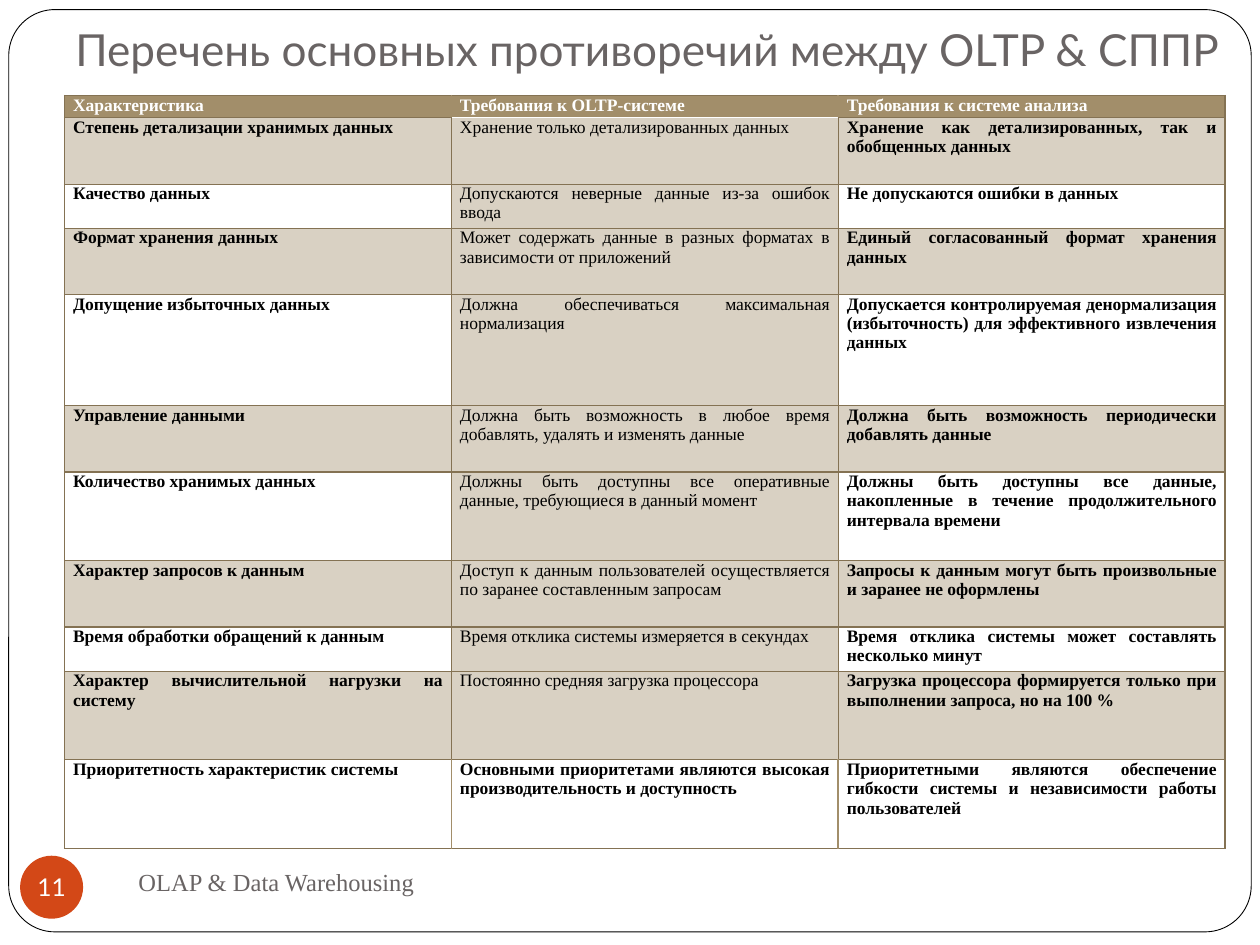
import pptx
import pptx.dml.color
import pptx.enum.shapes
import pptx.enum.text
import pptx.oxml
import pptx.oxml.ns
import pptx.util
from lxml import etree

Pt = pptx.util.Pt
ALIGN = pptx.enum.text.PP_ALIGN
ANCHOR = pptx.enum.text.MSO_ANCHOR
SHAPE = pptx.enum.shapes.MSO_SHAPE
qn = pptx.oxml.ns.qn

COLORS = {
    "white": "FFFFFF",
    "black": "000000",
    "gray": "696464",
    "orange": "D34817",
    "tan": "A28E6A",
    "brown": "847253",
}
HEADING_FONT = "Lato"
BODY_FONT = "Times New Roman"

REQUIREMENTS = [
    ("Характеристика", "Требования к OLTP-системе", "Требования к системе анализа"),
    ("Степень детализации хранимых данных",
     "Хранение только детализированных данных",
     "Хранение как детализированных, так и обобщенных данных"),
    ("Качество данных",
     "Допускаются неверные данные из-за ошибок ввода",
     "Не допускаются ошибки в данных"),
    ("Формат хранения данных",
     "Может содержать данные в разных форматах в зависимости от приложений",
     "Единый согласованный формат хранения данных"),
    ("Допущение избыточных данных",
     "Должна обеспечиваться максимальная нормализация",
     "Допускается контролируемая денормализация (избыточность) "
     "для эффективного извлечения данных"),
    ("Управление данными",
     "Должна быть возможность в любое время добавлять, удалять и изменять данные",
     "Должна быть возможность периодически добавлять данные"),
    ("Количество хранимых данных",
     "Должны быть доступны все оперативные данные, требующиеся в данный момент",
     "Должны быть доступны все данные, накопленные в течение "
     "продолжительного интервала времени"),
    ("Характер запросов к данным",
     "Доступ к данным пользователей осуществляется по заранее составленным запросам",
     "Запросы к данным могут быть произвольные и заранее не оформлены"),
    ("Время обработки обращений к данным",
     "Время отклика системы измеряется в секундах",
     "Время отклика системы может составлять несколько минут"),
    ("Характер вычислительной нагрузки на систему",
     "Постоянно средняя загрузка процессора",
     "Загрузка процессора формируется только при выполнении запроса, но на 100 %"),
    ("Приоритетность характеристик системы",
     "Основными приоритетами являются высокая производительность и доступность",
     "Приоритетными являются обеспечение гибкости системы "
     "и независимости работы пользователей"),
]
# Each row is a whole number of text lines high
ROW_LINES = [1, 3, 2, 3, 5, 3, 4, 3, 2, 4, 4]
LINE_HEIGHT = 12.66
COLUMN_WIDTH = 221.1


def rgb(color):
    return pptx.dml.color.RGBColor.from_string(COLORS[color])


def write(frame, text, size, font, color, align=ALIGN.LEFT, bold=False):
    frame.text = text
    paragraph = frame.paragraphs[0]
    paragraph.alignment = align
    style = paragraph.runs[0].font
    style.size, style.name, style.bold = Pt(size), font, bold
    style.color.rgb = rgb(color)


def set_margins(target, left, top, right, bottom):
    target.margin_left, target.margin_top = Pt(left), Pt(top)
    target.margin_right, target.margin_bottom = Pt(right), Pt(bottom)


def add_panel(slide, kind, left, top, width, height, fill, line=None):
    panel = slide.shapes.add_shape(kind, Pt(left), Pt(top), Pt(width), Pt(height))
    panel.shadow.inherit = False
    panel.fill.solid()
    panel.fill.fore_color.rgb = rgb(fill)
    if line:
        panel.line.color.rgb = rgb(line)
        panel.line.width = Pt(0.5)
    else:
        panel.line.fill.background()
    return panel


def add_label(slide, left, top, width, height, text, size, font, anchor, bottom):
    frame = slide.shapes.add_textbox(Pt(left), Pt(top), Pt(width), Pt(height)).text_frame
    frame.word_wrap = True
    frame.vertical_anchor = anchor
    set_margins(frame, 7.2, 3.6, 7.2, bottom)
    write(frame, text, size, font, "gray")


def fill_cell(cell, color, opacity=100):
    cell.fill.solid()
    cell.fill.fore_color.rgb = rgb(color)
    if opacity < 100:
        shade = cell._tc.tcPr.find(".//" + qn("a:srgbClr"))
        etree.SubElement(shade, qn("a:alpha"), val=str(opacity * 1000))


def set_borders(cell, left, right, top, bottom):
    # Border lines must stand before the fill
    for place, (side, color) in enumerate(zip("LRTB", (left, right, top, bottom))):
        width = Pt(0.75 if color == "brown" else 1)
        line = etree.Element(qn("a:ln" + side), w=str(int(width)))
        solid = etree.SubElement(line, qn("a:solidFill"))
        etree.SubElement(solid, qn("a:srgbClr"), val=COLORS[color])
        cell._tc.get_or_add_tcPr().insert(place, line)


def format_cell(cell, text, row, column):
    header, last = row == 0, row == len(REQUIREMENTS) - 1
    set_margins(cell, 5, 0, 5, 0)
    write(cell.text_frame, text, 10, BODY_FONT, "white" if header else "black",
          ALIGN.JUSTIFY, bold=header or last or column != 1)
    if header:
        fill_cell(cell, "tan")
    elif row % 2 or (column == 1 and not last):
        fill_cell(cell, "tan", 40)
    else:
        cell.fill.background()
    inner = "tan" if header or last else "brown"
    set_borders(
        cell,
        left="brown" if column == 0 else inner,
        right="brown" if column == 2 else inner,
        top="white" if row == 1 and column == 1 else "brown",
        bottom="white" if header and column == 1 else "brown",
    )


def add_requirements(slide, left, top):
    table = slide.shapes.add_table(
        len(REQUIREMENTS), 3, Pt(left), Pt(top),
        Pt(3 * COLUMN_WIDTH), Pt(sum(ROW_LINES) * LINE_HEIGHT)).table
    table.first_row = table.horz_banding = False
    for column in table.columns:
        column.width = Pt(COLUMN_WIDTH)
    for row, (lines, texts) in enumerate(zip(ROW_LINES, REQUIREMENTS)):
        table.rows[row].height = Pt(lines * LINE_HEIGHT)
        for column, text in enumerate(texts):
            format_cell(table.cell(row, column), text, row, column)


def main():
    deck = pptx.Presentation()
    deck.slide_width, deck.slide_height = Pt(720), Pt(540)
    slide = deck.slides.add_slide(deck.slide_layouts[6])

    # Rounded frame around the page
    frame = add_panel(slide, SHAPE.ROUNDED_RECTANGLE, 5, 5.5, 710, 527, "white", "black")
    frame.adjustments[0] = 0.05

    # Title
    add_label(slide, 36, 12.2, 675.4, 38.2,
              "Перечень основных противоречий между OLTP & СППР",
              25.2, HEADING_FONT, ANCHOR.BOTTOM, bottom=7.2)

    # Page number
    badge = add_panel(slide, SHAPE.OVAL, 11.5, 489, 36, 36, "orange").text_frame
    badge.word_wrap = False
    badge.vertical_anchor = ANCHOR.MIDDLE
    set_margins(badge, 0, 0, 0, 0)
    write(badge, "11", 14, HEADING_FONT, "white", ALIGN.CENTER)

    # Footer
    add_label(slide, 72, 486, 312, 36, "OLAP & Data Warehousing",
              14, BODY_FONT, ANCHOR.MIDDLE, bottom=3.6)

    # Comparison of requirements
    add_requirements(slide, 36.8, 54.6)

    deck.save("out.pptx")


if __name__ == "__main__":
    main()
